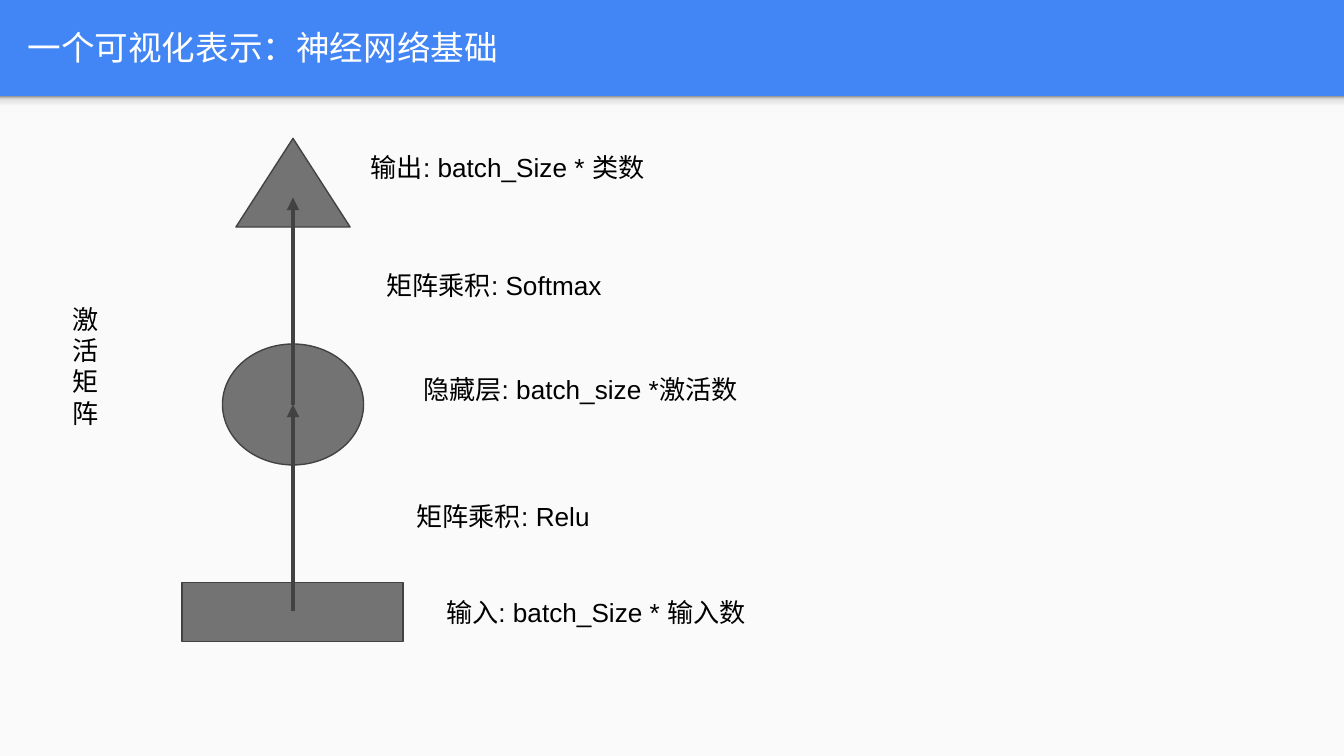
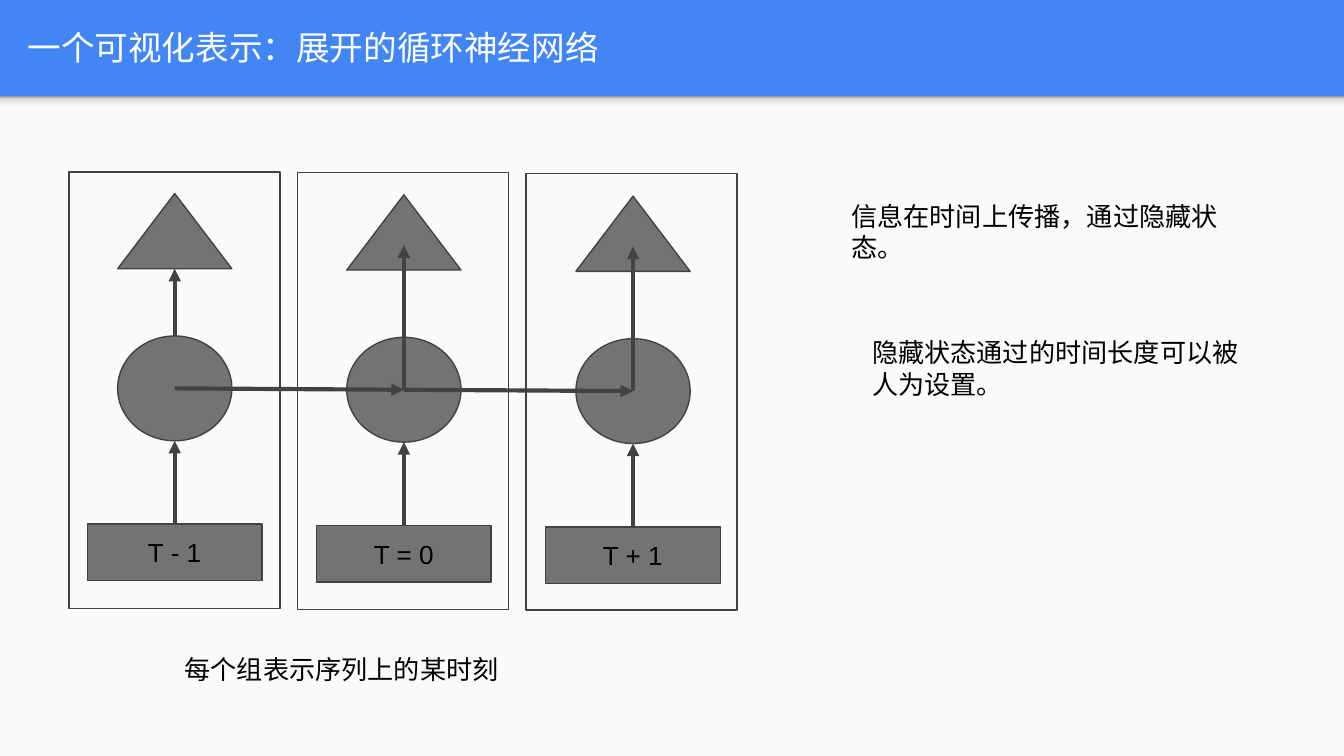
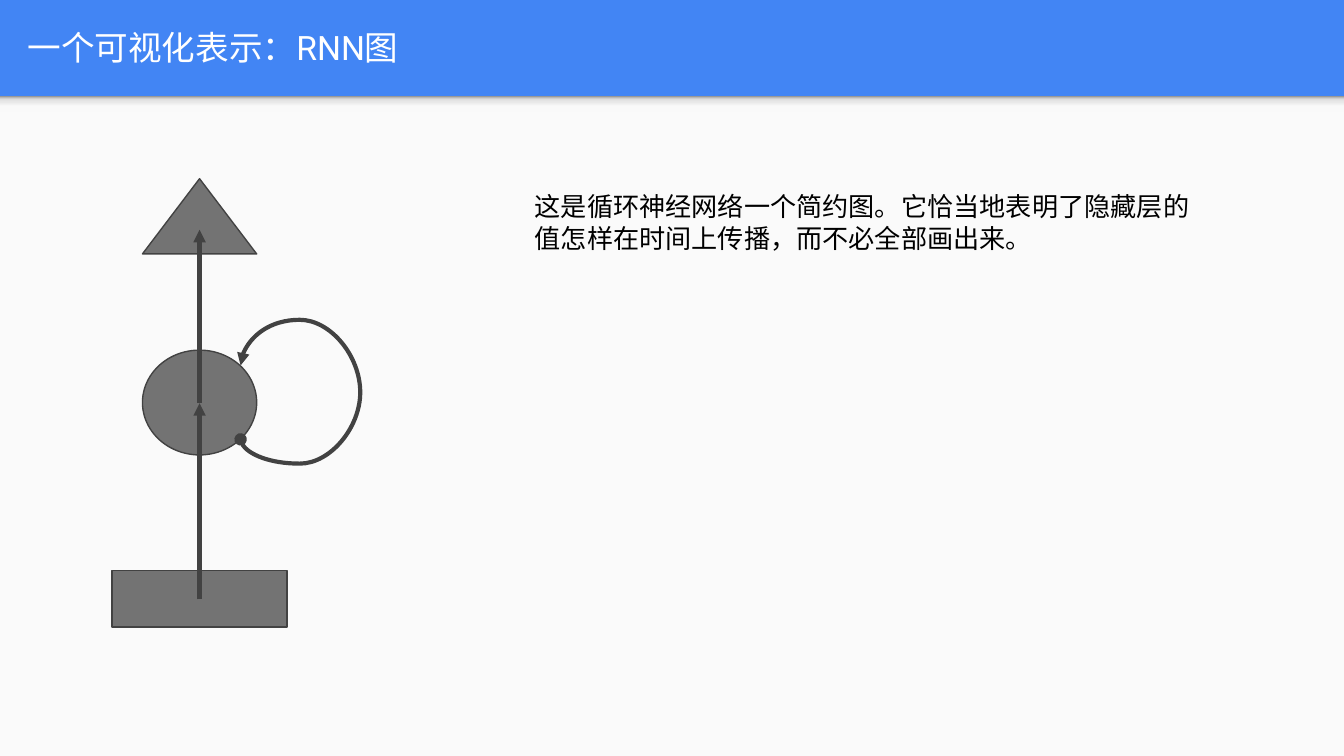
from lxml import etree
from pptx import Presentation
from pptx.dml.color import RGBColor
from pptx.enum.shapes import MSO_CONNECTOR, MSO_SHAPE
from pptx.enum.text import MSO_ANCHOR, MSO_AUTO_SIZE, PP_ALIGN
from pptx.oxml.ns import qn
from pptx.util import Pt

PX = 4572
WIDTH, HEIGHT, BAND = 2000, 1125, 143
RECTANGLE, OVAL, TRIANGLE = MSO_SHAPE.RECTANGLE, MSO_SHAPE.OVAL, MSO_SHAPE.ISOSCELES_TRIANGLE
STRAIGHT = MSO_CONNECTOR.STRAIGHT
LEFT, CENTER = PP_ALIGN.LEFT, PP_ALIGN.CENTER
TOP, MIDDLE = MSO_ANCHOR.TOP, MSO_ANCHOR.MIDDLE
FIXED, GROW = MSO_AUTO_SIZE.NONE, MSO_AUTO_SIZE.SHAPE_TO_FIT_TEXT

COLORS = {
    "band": "4285F4",
    "paper": "FAFAFA",
    "figure": "737373",
    "line": "424242",
    "title": "FFFFFF",
    "text": "000000",
}
SHADOW_STOPS = [(0, "F9F9F9"), (36, "F9F9F9"), (80, "DEDEDE"), (100, "999999")]
INSETS = {f"margin_{side}": 20 * PX for side in ("left", "top", "right", "bottom")}
FONTS = {
    "title": {"name": "Roboto", "size": Pt(18)},
    "text": {"name": "Arial", "size": Pt(14)},
}


def color(name):
    return RGBColor.from_string(COLORS[name])


def add_figure(page, kind, box, fill=None, outline=None):
    figure = page.shapes.add_shape(kind, *[length * PX for length in box])
    figure.shadow.inherit = False
    if fill:
        figure.fill.solid()
        figure.fill.fore_color.rgb = color(fill)
    else:
        figure.fill.background()
    if outline:
        figure.line.color.rgb = color(outline)
        figure.line.width = Pt(0.75)
    else:
        figure.line.fill.background()
    return figure


deck = Presentation()
deck.slide_width, deck.slide_height = WIDTH * PX, HEIGHT * PX
backdrop = deck.slide_master.background.fill
backdrop.solid()
backdrop.fore_color.rgb = color("band")

titles = [
    "一个可视化表示：神经网络基础",
    "一个可视化表示：展开的循环神经网络",
    "一个可视化表示：RNN图",
]
pages = []
writings = []
for title in titles:
    page = deck.slides.add_slide(deck.slide_layouts[5])
    pages.append(page)
    heading = page.shapes.title
    heading.left, heading.top, heading.width, heading.height = [n * PX for n in (21, 4, 1930, 132)]
    writings.append((heading.text_frame, title, "title", LEFT, MIDDLE, FIXED))

    add_figure(page, RECTANGLE, (0, BAND, WIDTH, HEIGHT - BAND), "paper")
    shadow = add_figure(page, RECTANGLE, (0, BAND, WIDTH, 24))
    shadow.fill.gradient()
    shadow.fill.gradient_angle = 90
    stops = shadow._element.spPr.find(qn("a:gradFill")).find(qn("a:gsLst"))
    for stop in list(stops):
        stops.remove(stop)
    for position, shade in SHADOW_STOPS:
        stop = etree.SubElement(stops, qn("a:gs"), pos=str(position * 1000))
        etree.SubElement(stop, qn("a:srgbClr"), val=shade)

basics, unrolled, compact = pages

stacks = [
    (basics, None, (351, 206, 170, 132), (331, 512, 210, 180), (271, 867, 329, 88)),
    (compact, None, (212, 266, 170, 112), (212, 521, 170, 156), (167, 849, 260, 84)),
]
arrows = [
    (basics, None, (436, 910, 436, 602)),
    (basics, None, (436, 602, 436, 294)),
    (compact, None, (297, 892, 297, 600)),
    (compact, None, (297, 600, 297, 342)),
]
for column, moment in enumerate(["T - 1", "T = 0", "T + 1"]):
    shift, drop = 341 * column, 2 * column
    add_figure(unrolled, RECTANGLE, (103 + 340 * column, 256 + column, 314, 650), outline="line")
    stacks.append((
        unrolled,
        moment,
        (175 + shift, 288 + drop, 170, 112),
        (175 + shift, 500 + drop, 170, 156),
        (130 + shift, 780 + drop, 260, 84),
    ))

for page, moment, output_box, hidden_box, input_box in stacks:
    add_figure(page, TRIANGLE, output_box, "figure", "line")
    add_figure(page, OVAL, hidden_box, "figure", "line")
    input_layer = add_figure(page, RECTANGLE, input_box, "figure", "line")
    if moment:
        label = page.shapes.add_textbox(*[length * PX for length in input_box])
        writings.append((label.text_frame, moment, "text", CENTER, MIDDLE, FIXED))
        middle = input_box[0] + input_box[2] // 2
        hidden_top, hidden_height = hidden_box[1], hidden_box[3]
        hidden_middle = hidden_top + hidden_height // 2
        arrows.append((page, input_layer, (middle, input_box[1], middle, hidden_top + hidden_height)))
        if moment == "T - 1":
            arrows.append((page, None, (middle, hidden_top, middle, output_box[1] + output_box[3])))
        else:
            arrows.append((page, None, (middle, hidden_middle, middle, output_box[1] + 75)))
            arrows.append((page, None, (previous, hidden_middle - 2, middle, hidden_middle)))
        previous = middle

lines = []
for page, source, ends in arrows:
    arrow = page.shapes.add_connector(STRAIGHT, *[length * PX for length in ends])
    if source:
        arrow.begin_connect(source, 0)
    lines.append((arrow, None))

outline = compact.shapes.build_freeform(358, 654, scale=PX)
outline.add_line_segments([
    (358, 672), (402, 690), (446, 690),
    (492, 690), (536, 636), (536, 584),
    (536, 530), (492, 476), (446, 476),
    (402, 476), (358, 510), (358, 544),
], close=False)
recurrence = outline.convert_to_shape()
recurrence.fill.background()
route = recurrence._element.spPr.find(".//" + qn("a:path"))
segments = route.findall(qn("a:lnTo"))
for start in range(0, len(segments), 3):
    curve = etree.SubElement(route, qn("a:cubicBezTo"))
    for segment in segments[start:start + 3]:
        curve.append(segment[0])
        route.remove(segment)
lines.append((recurrence, "oval"))

for line, head in lines:
    line.line.color.rgb = color("line")
    line.line.width = Pt(2.25)
    properties = line._element.spPr
    stroke = properties.find(qn("a:ln"))
    if head:
        etree.SubElement(stroke, qn("a:headEnd"), type=head)
    etree.SubElement(stroke, qn("a:tailEnd"), type="triangle")
    etree.SubElement(properties, qn("a:effectLst"))

captions = [
    (basics, (532, 206, 826, 96), "输出: batch_Size * 类数"),
    (basics, (610, 536, 926, 96), "隐藏层: batch_size *激活数"),
    (basics, (644, 868, 684, 96), "输入: batch_Size * 输入数"),
    (basics, (555, 381, 502, 96), "矩阵乘积: Softmax"),
    (basics, (600, 724, 502, 96), "矩阵乘积: Relu"),
    (basics, (88, 431, 76, 262), "激\n活矩阵"),
    (unrolled, (255, 953, 628, 96), "每个组表示序列上的某时刻"),
    (unrolled, (1247, 278, 602, 152), "信息在时间上传播，通过隐藏状态。"),
    (unrolled, (1278, 481, 602, 152), "隐藏状态通过的时间长度可以被人为设置。"),
    (compact, (776, 264, 1050, 152),
     "这是循环神经网络一个简约图。它恰当地表明了隐藏层的值怎样在时间上传播，而不必全部画出来。"),
]
for page, box, text in captions:
    caption = page.shapes.add_textbox(*[length * PX for length in box])
    writings.append((caption.text_frame, text, "text", LEFT, TOP, GROW))

for frame, text, style, alignment, anchor, sizing in writings:
    frame.text = text
    layout = {**INSETS, "word_wrap": True, "vertical_anchor": anchor, "auto_size": sizing}
    for name, value in layout.items():
        setattr(frame, name, value)
    for para in frame.paragraphs:
        para.alignment = alignment
        for span in para.runs:
            for name, value in FONTS[style].items():
                setattr(span.font, name, value)
            span.font.color.rgb = color(style)

deck.save("out.pptx")
